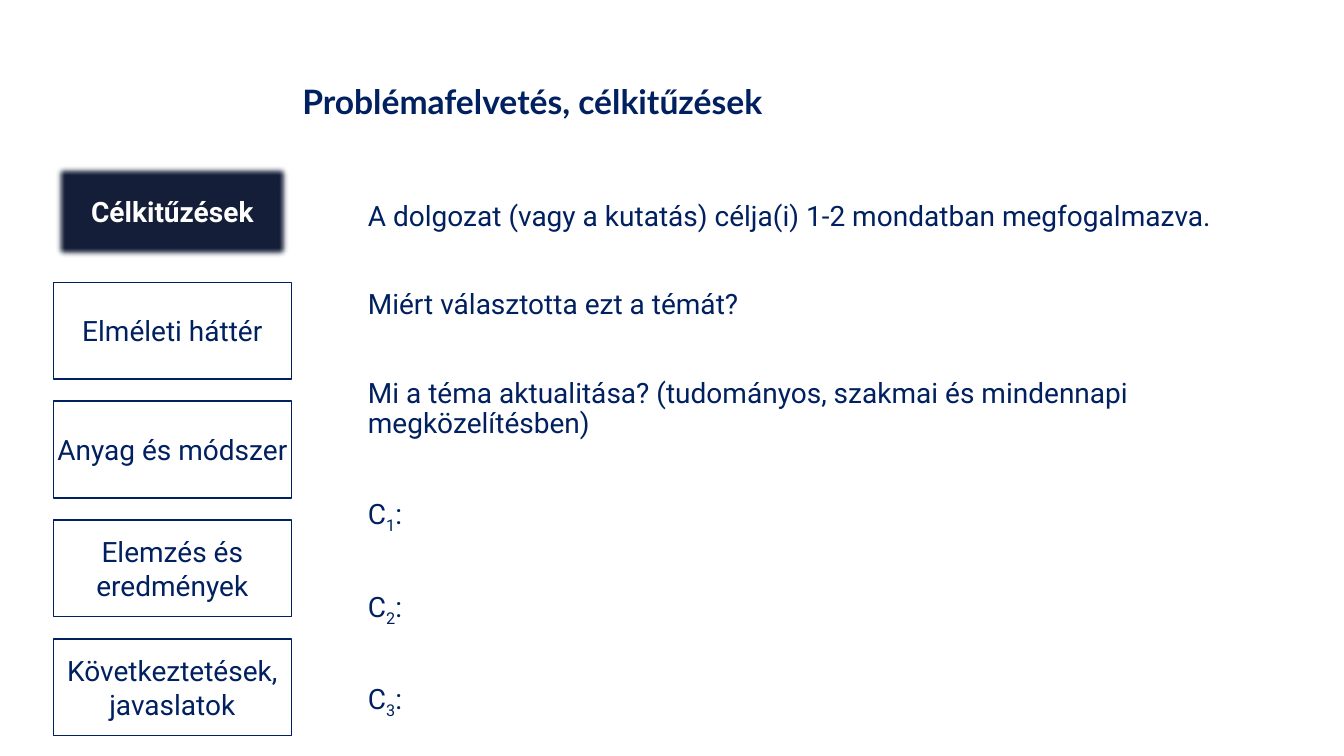
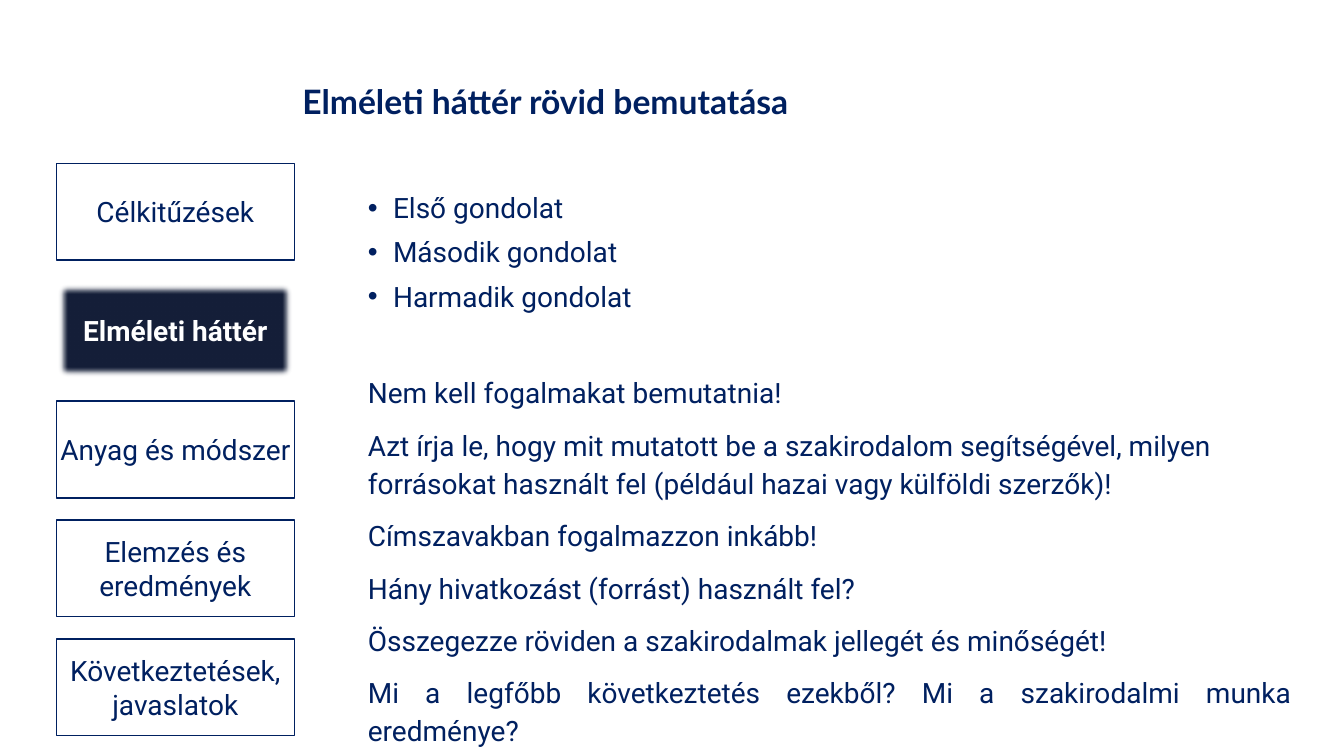
from lxml import etree
from pptx import Presentation
from pptx.dml.color import RGBColor
from pptx.enum.shapes import MSO_SHAPE
from pptx.enum.text import MSO_ANCHOR, PP_ALIGN
from pptx.oxml.ns import qn
from pptx.util import Inches, Pt

RECTANGLE = MSO_SHAPE.RECTANGLE
MIDDLE, BOTTOM = MSO_ANCHOR.MIDDLE, MSO_ANCHOR.BOTTOM
LEFT, CENTER, JUSTIFY = PP_ALIGN.LEFT, PP_ALIGN.CENTER, PP_ALIGN.JUSTIFY
NAVY, DARK, WHITE = "002060", "151F39", "FFFFFF"

# Shared formats
TITLE_FONT = {"name": "Lato", "size": Pt(24), "bold": True}
BODY_FONT = {"name": "Roboto", "size": Pt(20)}
ACTIVE_FONT = {**BODY_FONT, "bold": True}
PLAIN = {"alignment": JUSTIFY, "line_spacing": 0.9, "space_before": Pt(10)}
APART = {**PLAIN, "space_before": Pt(41.4)}
APART_LEFT = {**APART, "alignment": LEFT}
LOOSE = {**PLAIN, "line_spacing": 1.14}
LOOSE_LEFT = {**LOOSE, "alignment": LEFT}
LOOSE_APART = {**LOOSE, "space_before": Pt(41.4)}

# Content
SECTIONS = ["Célkitűzések", "Elméleti háttér", "Anyag és módszer",
            "Elemzés és eredmények", "Következtetések, javaslatok"]
TIGHT_SECTION = "Anyag és módszer"  # label needs the full box width

# Paragraph: format, bulleted, runs; every second run is a subscript
SLIDES = [
    {"title": "Problémafelvetés, célkitűzések", "active": "Célkitűzések",
     "menu_left": 0.53, "body": (3.55, 1.96, 9.78, 4.03),
     "paragraphs": [
         (PLAIN, False, ["A dolgozat (vagy a kutatás) célja(i) 1-2 mondatban megfogalmazva."]),
         (APART, False, ["Miért választotta ezt a témát?"]),
         (APART_LEFT, False, ["Mi a téma aktualitása? (tudományos, szakmai és "
                              "mindennapi megközelítésben)"]),
         *[(APART, False, ["C", number, ":"]) for number in "123"]]},
    {"title": "Elméleti háttér rövid bemutatása", "active": "Elméleti háttér",
     "menu_left": 0.56, "body": (3.55, 1.88, 9.36, 3.64),
     "paragraphs": [
         (PLAIN, True, ["Első gondolat"]),
         (PLAIN, True, ["Második gondolat"]),
         (PLAIN, True, ["Harmadik gondolat"]),
         (LOOSE_APART, False, ["Nem kell fogalmakat bemutatnia!"]),
         (LOOSE_LEFT, False, ["Azt írja le, hogy mit mutatott be a szakirodalom segítségével, "
                              "milyen forrásokat használt fel (például hazai vagy külföldi "
                              "szerzők)!"]),
         (LOOSE, False, ["Címszavakban fogalmazzon inkább!"]),
         (LOOSE, False, ["Hány hivatkozást (forrást) használt fel?"]),
         (LOOSE, False, ["Összegezze röviden a szakirodalmak jellegét és minőségét!"]),
         (LOOSE, False, ["Mi a legfőbb következtetés ezekből? Mi a szakirodalmi munka "
                         "eredménye?"])]},
]

# Layout in inches
TITLE_BOX = (2.9, 0.76, 7.54, 0.5)
MENU_TOP, MENU_STEP, MENU_WIDTH, MENU_HEIGHT = 1.62, 1.18, 2.36, 0.96
BULLET_INDENT = Inches(0.25)
SOFT_EDGE = Pt(5)


def color(value):
    return RGBColor.from_string(value)


def apply(target, values):
    for name, value in values.items():
        setattr(target, name, value)


def add_run(paragraph, text, font, font_color, subscript=False):
    run = paragraph.add_run()
    run.text = text
    apply(run.font, font)
    run.font.color.rgb = color(font_color)
    if subscript:
        run._r.get_or_add_rPr().set("baseline", "-25000")


def add_bullet(paragraph):
    properties = paragraph._p.get_or_add_pPr()
    properties.set("marL", str(BULLET_INDENT))
    properties.set("indent", str(-BULLET_INDENT))
    etree.SubElement(properties, qn("a:buFont"), typeface="Arial")
    etree.SubElement(properties, qn("a:buChar"), char="•")


def add_text_box(slide, box):
    frame = slide.shapes.add_textbox(*map(Inches, box)).text_frame
    frame.word_wrap = True
    return frame


def add_title(slide, text):
    frame = add_text_box(slide, TITLE_BOX)
    frame.vertical_anchor = BOTTOM
    frame.paragraphs[0].line_spacing = 0.9
    add_run(frame.paragraphs[0], text, TITLE_FONT, NAVY)


def add_menu(slide, left, active):
    for index, label in enumerate(SECTIONS):
        is_active = label == active
        box = (left, MENU_TOP + index * MENU_STEP, MENU_WIDTH, MENU_HEIGHT)
        shape = slide.shapes.add_shape(RECTANGLE, *map(Inches, box))
        shape.shadow.inherit = False
        shape.fill.solid()
        shape.fill.fore_color.rgb = color(DARK if is_active else WHITE)
        shape.line.color.rgb = color(DARK if is_active else NAVY)
        shape.line.width = Pt(1)
        if is_active:
            effects = shape._element.spPr.find(qn("a:effectLst"))
            etree.SubElement(effects, qn("a:softEdge"), rad=str(SOFT_EDGE))
        frame = shape.text_frame
        apply(frame, {"word_wrap": True, "vertical_anchor": MIDDLE})
        if label == TIGHT_SECTION:
            apply(frame, dict.fromkeys(
                ("margin_left", "margin_top", "margin_right", "margin_bottom"), 0))
        paragraph = frame.paragraphs[0]
        paragraph.alignment = CENTER
        add_run(paragraph, label, ACTIVE_FONT if is_active else BODY_FONT,
                WHITE if is_active else NAVY)


def add_body(slide, box, paragraphs):
    frame = add_text_box(slide, box)
    for index, (values, bulleted, texts) in enumerate(paragraphs):
        paragraph = frame.add_paragraph() if index else frame.paragraphs[0]
        if bulleted:
            add_bullet(paragraph)
        apply(paragraph, values if index else {**values, "space_before": Pt(0)})
        for position, text in enumerate(texts):
            add_run(paragraph, text, BODY_FONT, NAVY, subscript=position % 2 == 1)


def main():
    presentation = Presentation()
    presentation.slide_width, presentation.slide_height = Inches(13.33), Inches(7.5)
    for content in SLIDES:
        slide = presentation.slides.add_slide(presentation.slide_layouts[6])
        add_menu(slide, content["menu_left"], content["active"])
        add_title(slide, content["title"])
        add_body(slide, content["body"], content["paragraphs"])
    presentation.save("out.pptx")


if __name__ == "__main__":
    main()
